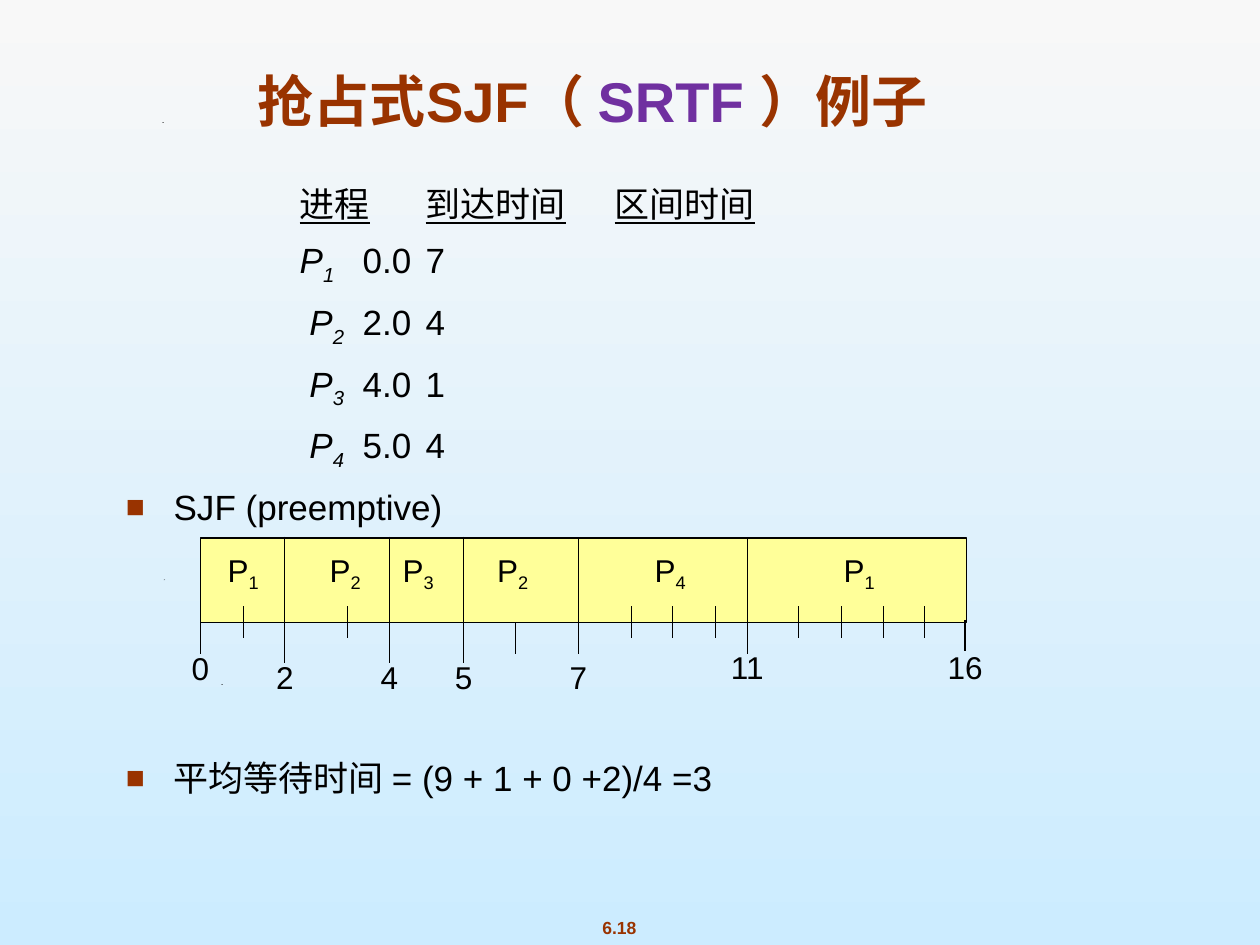
from lxml.etree import SubElement
from pptx import Presentation
from pptx.dml.color import RGBColor
from pptx.enum.shapes import MSO_CONNECTOR, MSO_SHAPE
from pptx.enum.text import MSO_ANCHOR, PP_ALIGN
from pptx.oxml.ns import qn
from pptx.util import Inches, Pt

COLORS = {"top": "F8F8F8", "bottom": "CCECFF", "accent": "993300",
          "purple": "7030A0", "ink": "000000", "bar": "FFFF99"}
FONT = "Arial"
WIDTH, HEIGHT = 10, 7.5

TITLE = [("抢占式SJF（", "accent"), (" SRTF ", "purple"), ("）例子", "accent")]
HEADINGS = ["进程", "到达时间", "区间时间"]
# lead, process number, arrival time, burst time
PROCESSES = [("", "1", "0.0", "7"), (" ", "2", "2.0", "4"),
             (" ", "3", "4.0", "1"), (" ", "4", "5.0", "4")]
# bullet text, space before in points
BULLETS = [("SJF (preemptive)", 8), ("平均等待时间 = (9 + 1 + 0 +2)/4 =3", 131)]
PAGE_NUMBER = "6.18"
SPECKS = [(1.76, 5.43), (1.3, 4.6), (1.29, 0.97)]

BAR_LEFT, BAR_TOP, BAR_WIDTH, BAR_HEIGHT = 1.59, 4.27, 6.08, 0.67
BAR_BOTTOM = BAR_TOP + BAR_HEIGHT
# process number, centre of its label
BURSTS = [("1", 1.93), ("2", 2.74), ("3", 3.32), ("2", 4.07), ("4", 5.32), ("1", 6.82)]
# time, x, line top, line bottom, label middle
TIMES = [("0", 1.59, 4.94, 5.19, 5.3), ("2", 2.26, 4.26, 5.26, 5.37),
         ("4", 3.09, 4.26, 5.26, 5.37), ("5", 3.68, 4.26, 5.26, 5.37),
         ("7", 4.59, 4.27, 5.19, 5.37), ("11", 5.93, 4.27, 5.19, 5.29),
         ("16", 7.66, 4.92, 5.17, 5.29)]
UNIT_TICKS = [1.93, 2.76, 5.01, 5.34, 5.68, 6.34, 6.68, 7.01, 7.34]
LOW_TICK = 4.09


def rgb(name):
    return RGBColor.from_string(COLORS[name])


def add_span(para, text, size, color="ink", bold=False, italic=False,
             underline=False, subscript=False):
    span = para.add_run()
    span.text = text
    font = span.font
    font.size, font.name, font.color.rgb = Pt(size), FONT, rgb(color)
    font.bold, font.italic, font.underline = bold, italic, underline
    if subscript:
        span.font._element.set("baseline", "-25000")


def add_box(shapes, left, top, width, height, anchor=MSO_ANCHOR.TOP, wrap=True):
    box = shapes.add_textbox(Inches(left), Inches(top), Inches(width), Inches(height))
    box.text_frame.word_wrap = wrap
    box.text_frame.vertical_anchor = anchor
    return box.text_frame


def add_label(shapes, center, middle, text, subscript=""):
    width, height = 0.48, 0.4
    frame = add_box(shapes, center - width / 2, middle - height / 2, width, height,
                    MSO_ANCHOR.MIDDLE, wrap=False)
    para = frame.paragraphs[0]
    para.alignment = PP_ALIGN.CENTER
    add_span(para, text, 18)
    if subscript:
        add_span(para, subscript, 18, subscript=True)


def add_tick(shapes, x, top, bottom):
    tick = shapes.add_connector(MSO_CONNECTOR.STRAIGHT, Inches(x), Inches(top),
                                Inches(x), Inches(bottom))
    tick.line.color.rgb = rgb("ink")
    tick.line.width = Pt(0.75)
    SubElement(tick._element.spPr, qn("a:effectLst"))


def indent(para, margin, first_line):
    properties = para._p.get_or_add_pPr()
    properties.set("marL", str(Inches(margin)))
    properties.set("indent", str(Inches(first_line)))
    return properties


def add_bullet(para):
    properties = indent(para, 0.38, -0.38)
    color = SubElement(properties, qn("a:buClr"))
    SubElement(color, qn("a:srgbClr"), val=COLORS["accent"])
    SubElement(properties, qn("a:buSzPct"), val="90000")
    SubElement(properties, qn("a:buFont"), typeface=FONT)
    SubElement(properties, qn("a:buChar"), char="■")


def add_title(shapes):
    para = add_box(shapes, 0.97, 0.67, 7.47, 0.44, MSO_ANCHOR.BOTTOM).paragraphs[0]
    para.alignment = PP_ALIGN.CENTER
    for text, color in TITLE:
        add_span(para, text, 32, color, bold=True)


def add_body(shapes):
    frame = add_box(shapes, 0.9, 1.4, 8.04, 4.9)
    para = frame.paragraphs[0]
    indent(para, 1.38, 0)
    for column, heading in enumerate(HEADINGS):
        if column:
            add_span(para, "\t", 20)
        add_span(para, heading, 20, underline=True)
    for lead, number, arrival, burst in PROCESSES:
        para = frame.add_paragraph()
        indent(para, 1.38, 0)
        para.space_before = Pt(8)
        add_span(para, lead + "P", 20, italic=True)
        add_span(para, number, 20, italic=True, subscript=True)
        add_span(para, f"\t{arrival}\t{burst}", 20)
    for text, space in BULLETS:
        para = frame.add_paragraph()
        para.space_before = Pt(space)
        add_bullet(para)
        add_span(para, text, 20)


def add_gantt(shapes):
    bar = shapes.add_shape(MSO_SHAPE.RECTANGLE, Inches(BAR_LEFT), Inches(BAR_TOP),
                           Inches(BAR_WIDTH), Inches(BAR_HEIGHT))
    bar.shadow.inherit = False
    bar.fill.solid()
    bar.fill.fore_color.rgb = rgb("bar")
    bar.line.color.rgb = rgb("ink")
    bar.line.width = Pt(0.75)
    for number, center in BURSTS:
        add_label(shapes, center, 4.54, "P", number)
    for time, x, top, bottom, middle in TIMES:
        add_tick(shapes, x, top, bottom)
        add_label(shapes, x, middle, time)
    for x in UNIT_TICKS:
        add_tick(shapes, x, BAR_BOTTOM - 0.13, BAR_BOTTOM + 0.12)
    add_tick(shapes, LOW_TICK, BAR_BOTTOM, BAR_BOTTOM + 0.25)


def add_specks(shapes):
    size = Inches(0.01)
    for x, y in SPECKS:
        left, top = Inches(x), Inches(y)
        builder = shapes.build_freeform(left, top)
        builder.add_line_segments([(left + size, top), (left, top + size // 2)], close=True)
        speck = builder.convert_to_shape()
        speck.shadow.inherit = False
        speck.fill.solid()
        speck.fill.fore_color.rgb = rgb("ink")
        speck.line.fill.background()


def main():
    deck = Presentation()
    deck.slide_width, deck.slide_height = Inches(WIDTH), Inches(HEIGHT)
    page = deck.slides.add_slide(deck.slide_layouts[6])
    fill = page.background.fill
    fill.gradient()
    fill.gradient_angle = 270
    for stop, position, color in zip(fill.gradient_stops, (0, 1), ("top", "bottom")):
        stop.position = position
        stop.color.rgb = rgb(color)

    footer = add_box(page.shapes, 4.67, 7.23, 0.49, 0.27, wrap=False).paragraphs[0]
    footer.alignment = PP_ALIGN.CENTER
    add_span(footer, PAGE_NUMBER, 10, "accent", bold=True)
    add_specks(page.shapes)
    add_title(page.shapes)
    add_body(page.shapes)
    add_gantt(page.shapes.add_group_shape().shapes)
    deck.save("out.pptx")


if __name__ == "__main__":
    main()
